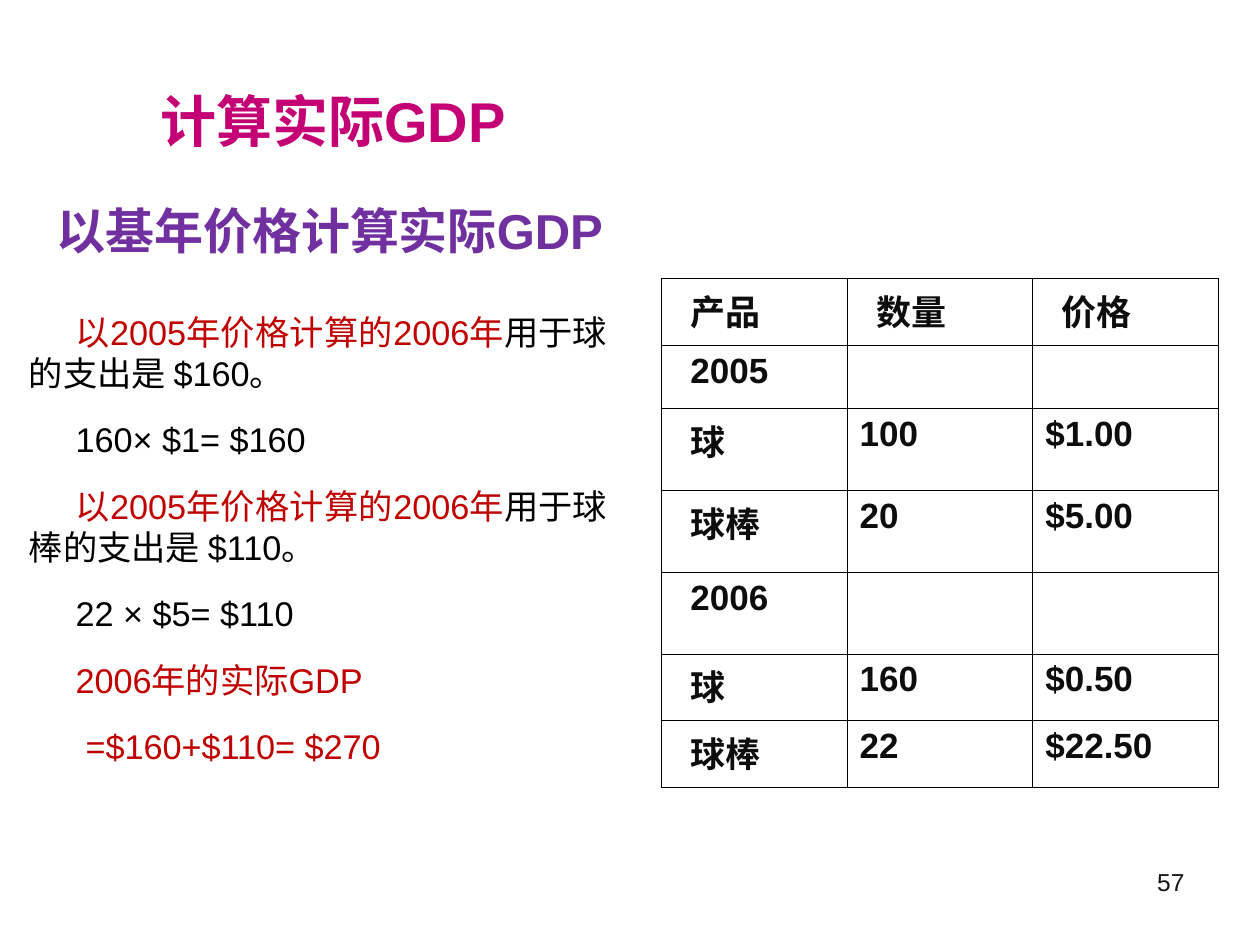
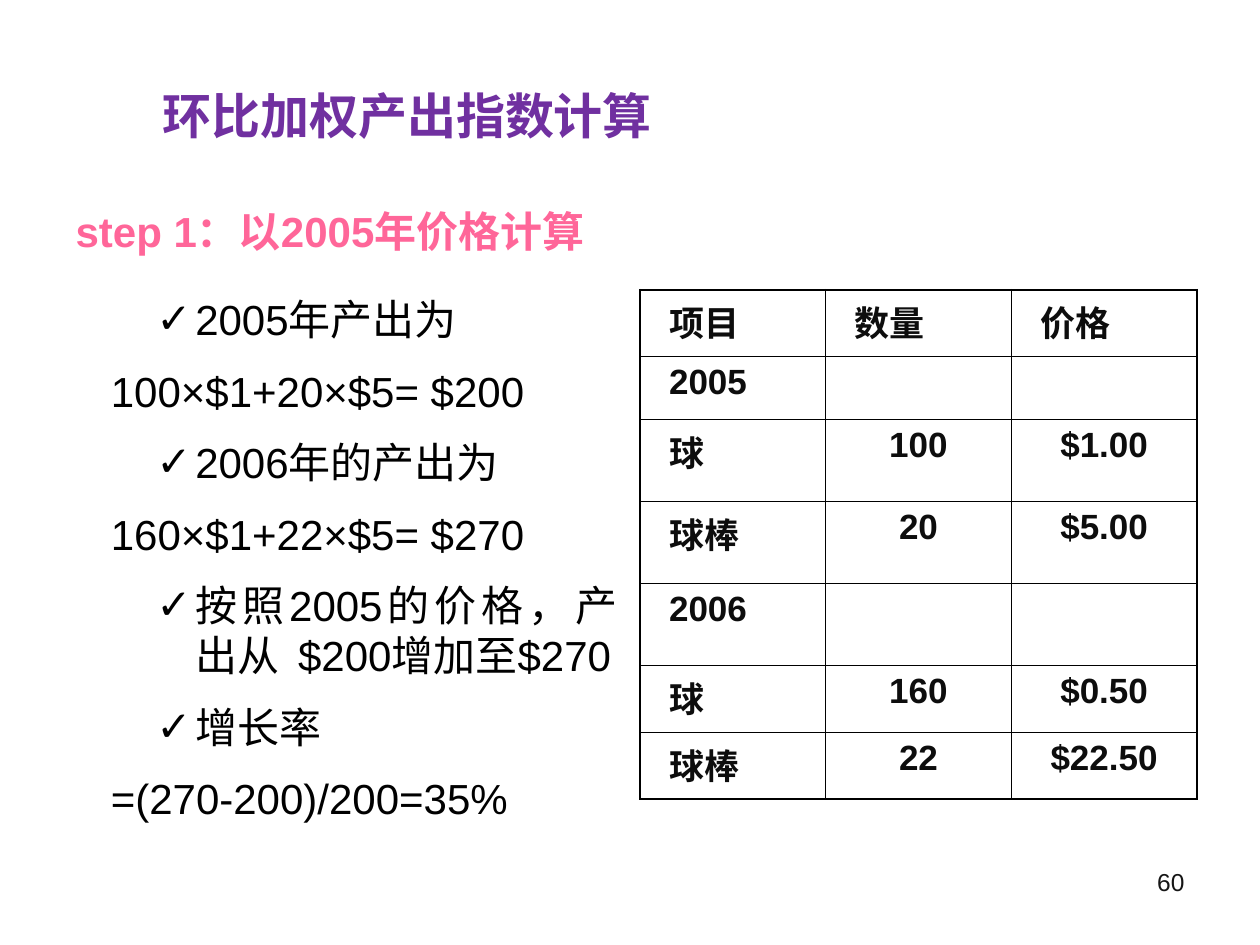
"""Builds two slides on computing real GDP at base-year prices."""
from lxml import etree
from pptx import Presentation, util as u
from pptx.dml.color import RGBColor
from pptx.enum import text
from pptx.oxml import ns

FONT = "Arial"
BLACK, INK, RED = "000000", "0D0D0D", "C00000"
MAGENTA, PURPLE, PINK, GREY = "C40075", "7030A0", "FF6699", "161616"
LEFT, CENTER, RIGHT, JUSTIFY = (
    text.PP_ALIGN.LEFT, text.PP_ALIGN.CENTER, text.PP_ALIGN.RIGHT, text.PP_ALIGN.JUSTIFY)
TOP, MIDDLE = text.MSO_ANCHOR.TOP, text.MSO_ANCHOR.MIDDLE

COLUMN_WIDTH = 4.42 / 3
ROW_HEIGHTS = [0.53, 0.5, 0.65, 0.65, 0.65, 0.53, 0.53]
OUTER, INNER = 1.08, 0.45
NUMBER_BOX = (7.17, 6.83, 2.33, 0.52)
RAISED = 0.49

MARKET = [
    ("2005", "", ""),
    ("球", "100", "$1.00"),
    ("球棒", "20", "$5.00"),
    ("2006", "", ""),
    ("球", "160", "$0.50"),
    ("球棒", "22", "$22.50"),
]

SPENDING = dict(margin=0.13, indent=0.37, after=14.4)
TOTAL = dict(SPENDING, indent=0.45)
STEP = dict(after=15, line=0.9)
CHECKED = dict(margin=0.95, indent=-0.31, before=6, after=6, bullet="✓")
FORMULA = dict(margin=0.28, before=6, after=6)

SLIDES = [
    dict(
        number="57",
        title=dict(words="计算实际GDP", box=(1.17, 0.33, 9, 1.25), size=32, color=MAGENTA),
        subtitle=dict(words="以基年价格计算实际GDP", box=(0, 1.42, 9, 1.25), size=28,
                      color=PURPLE, margin=0.35, bottom=RAISED),
        body_box=(0, 2.42, 4.92, 3.83),
        body_size=19.6,
        body=[
            ([("以2005年价格计算的2006年", RED), ("用于球的支出是 $160。", BLACK)], SPENDING),
            ([("160× $1= $160", BLACK)], SPENDING),
            ([("以2005年价格计算的2006年", RED), ("用于球棒的支出是 $110。", BLACK)], SPENDING),
            ([("22 × $5= $110", BLACK)], SPENDING),
            ([("2006年的实际GDP", RED)], SPENDING),
            ([("=$160+$110= $270", RED)], TOTAL),
        ],
        table_at=(5.25, 2.21),
        header=("产品", "数量", "价格"),
        figures=LEFT,
    ),
    dict(
        number="60",
        title=dict(words="环比加权产出指数计算", box=(0.67, 0.67, 9, 0.92), size=28,
                   color=PURPLE, margin=0.52, bottom=RAISED),
        body_box=(0.5, 1.63, 4.5, 5.12),
        body_size=24,
        body=[
            ([("step 1：以2005年价格计算", PINK)], dict(STEP, bold=True)),
            ([("2005年产出为", BLACK)], CHECKED),
            ([("100×$1+20×$5= $200", BLACK)], FORMULA),
            ([("2006年的产出为", BLACK)], CHECKED),
            ([("160×$1+22×$5= $270", BLACK)], FORMULA),
            ([("按照2005的价格，产出从  $200增加至$270", BLACK)], CHECKED),
            ([("增长率", BLACK)], CHECKED),
            ([("=(270-200)/200=35%", BLACK)], FORMULA),
        ],
        table_at=(5.08, 2.3),
        header=("项目", "数量", "价格"),
        figures=CENTER,
    ),
]


def rgb(color):
    return RGBColor.from_string(color)


def inches(values):
    return [u.Inches(value) for value in values]


def place(shape, box):
    shape.left, shape.top, shape.width, shape.height = inches(box)


def child(parent, tag, **attributes):
    return etree.SubElement(parent, ns.qn(tag), attributes)


def style_run(run, size, color, bold=False):
    font = run.font
    font.name, font.size, font.bold = FONT, u.Pt(size), bold
    font.color.rgb = rgb(color)


def style_paragraph(paragraph, align, margin=0, indent=0, before=0, after=0, line=1.0, bullet=None):
    paragraph.alignment = align
    paragraph.space_before, paragraph.space_after = u.Pt(before), u.Pt(after)
    paragraph.line_spacing = line
    props = paragraph._p.get_or_add_pPr()
    props.set("marL", str(u.Inches(margin)))
    props.set("indent", str(u.Inches(indent)))
    if bullet:
        child(child(props, "a:buClr"), "a:srgbClr", val=BLACK)
        child(props, "a:buFont", typeface=FONT)
        child(props, "a:buChar", char=bullet)
    else:
        child(props, "a:buNone")


def set_frame(frame, anchor, bottom=0.05):
    frame.word_wrap = True
    frame.auto_size = text.MSO_AUTO_SIZE.NONE
    frame.vertical_anchor = anchor
    frame.margin_left, frame.margin_top, frame.margin_right, frame.margin_bottom = inches(
        (0.1, 0.05, 0.1, bottom))


def write_line(frame, words, size, color, bold=False, align=LEFT, **spacing):
    frame.text = words
    line = frame.paragraphs[0]
    style_paragraph(line, align, **spacing)
    for run in line.runs:
        style_run(run, size, color, bold)


def write_heading(shape, words, box, size, color, margin=0, bottom=0.05):
    place(shape, box)
    set_frame(shape.text_frame, MIDDLE, bottom)
    write_line(shape.text_frame, words, size, color, bold=True, margin=margin)


def write_body(shape, box, size, lines):
    place(shape, box)
    frame = shape.text_frame
    set_frame(frame, TOP)
    for position, (parts, look) in enumerate(lines):
        paragraph = frame.add_paragraph() if position else frame.paragraphs[0]
        spacing = dict(look)
        bold = spacing.pop("bold", False)
        style_paragraph(paragraph, JUSTIFY, **spacing)
        for words, color in parts:
            run = paragraph.add_run()
            run.text = words
            style_run(run, size, color, bold)


def draw_borders(cell, outer_sides):
    props = cell._tc.get_or_add_tcPr()
    for side, outer in zip("LRTB", outer_sides):
        border = child(props, f"a:ln{side}", w=str(u.Pt(OUTER if outer else INNER)))
        child(child(border, "a:solidFill"), "a:srgbClr", val=BLACK)
    cell.fill.background()


def add_market_table(slide, at, header, figures):
    rows = [header, *MARKET]
    columns = len(header)
    size = (COLUMN_WIDTH * columns, sum(ROW_HEIGHTS))
    table = slide.shapes.add_table(len(rows), columns, *inches((*at, *size))).table
    table.first_row = table.horz_banding = False
    for column in table.columns:
        column.width = u.Inches(COLUMN_WIDTH)
    for r, (height, row) in enumerate(zip(ROW_HEIGHTS, rows)):
        table.rows[r].height = u.Inches(height)
        for c, words in enumerate(row):
            cell = table.cell(r, c)
            label = r == 0 or c == 0
            write_line(cell.text_frame, words, 20, INK, bold=True,
                       align=LEFT if label else figures,
                       margin=0.13 if label else 0, after=5)
            draw_borders(cell, (c == 0, c == columns - 1, r == 0, r == len(rows) - 1))


def add_slide(deck, content):
    slide = deck.slides.add_slide(deck.slide_layouts[1])
    write_heading(slide.shapes.title, **content["title"])
    write_body(slide.placeholders[1], content["body_box"], content["body_size"], content["body"])
    if "subtitle" in content:
        subtitle = slide.shapes.add_textbox(*inches(content["subtitle"]["box"]))
        write_heading(subtitle, **content["subtitle"])
    add_market_table(slide, content["table_at"], content["header"], content["figures"])
    number = slide.shapes.add_textbox(*inches(NUMBER_BOX)).text_frame
    set_frame(number, TOP)
    write_line(number, content["number"], 14, GREY, align=RIGHT)


def main():
    deck = Presentation()
    deck.slide_width, deck.slide_height = inches((10, 7.5))
    for content in SLIDES:
        add_slide(deck, content)
    deck.save("out.pptx")


if __name__ == "__main__":
    main()
